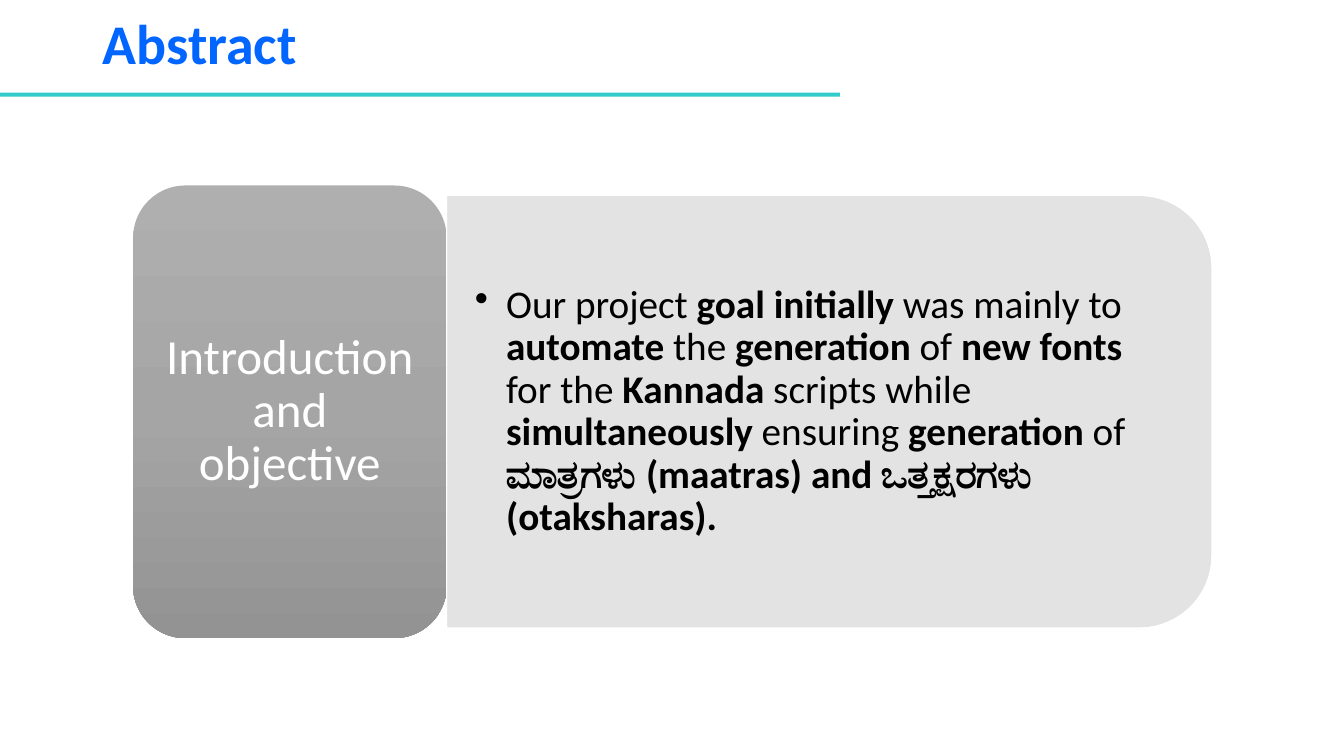
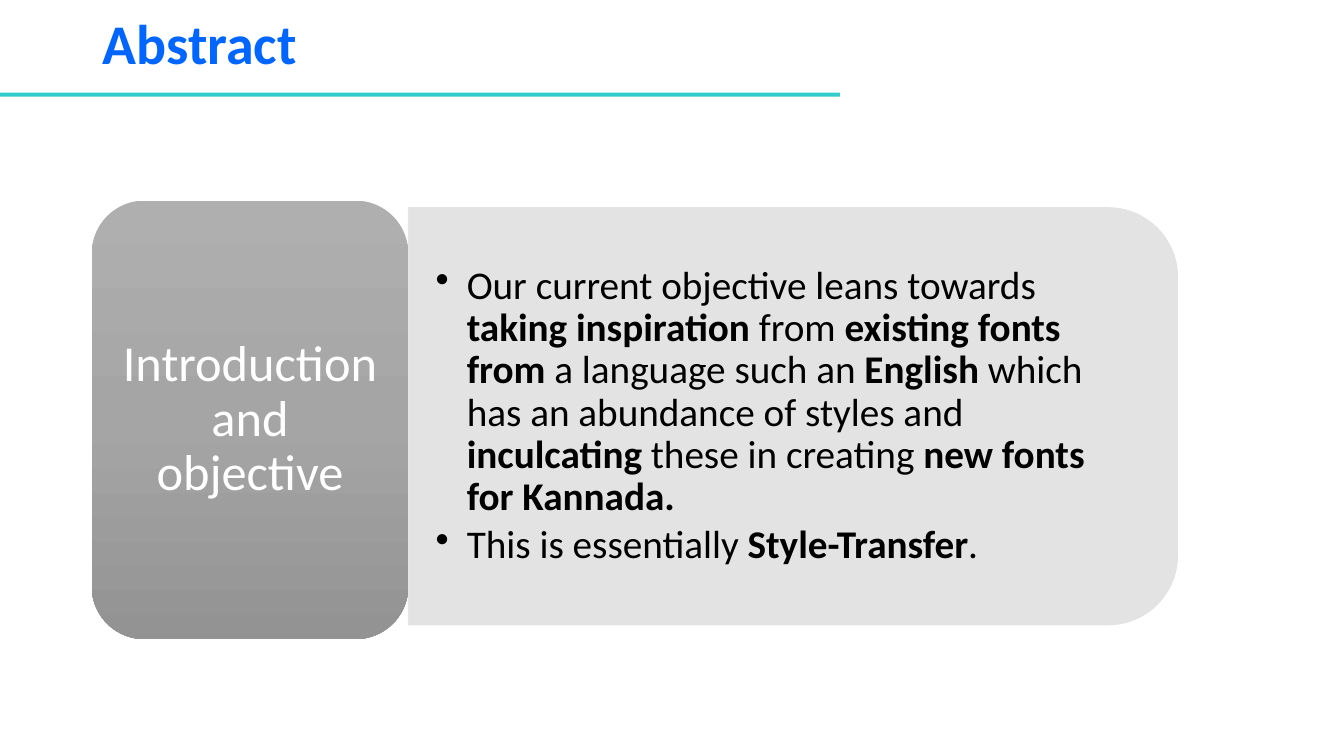
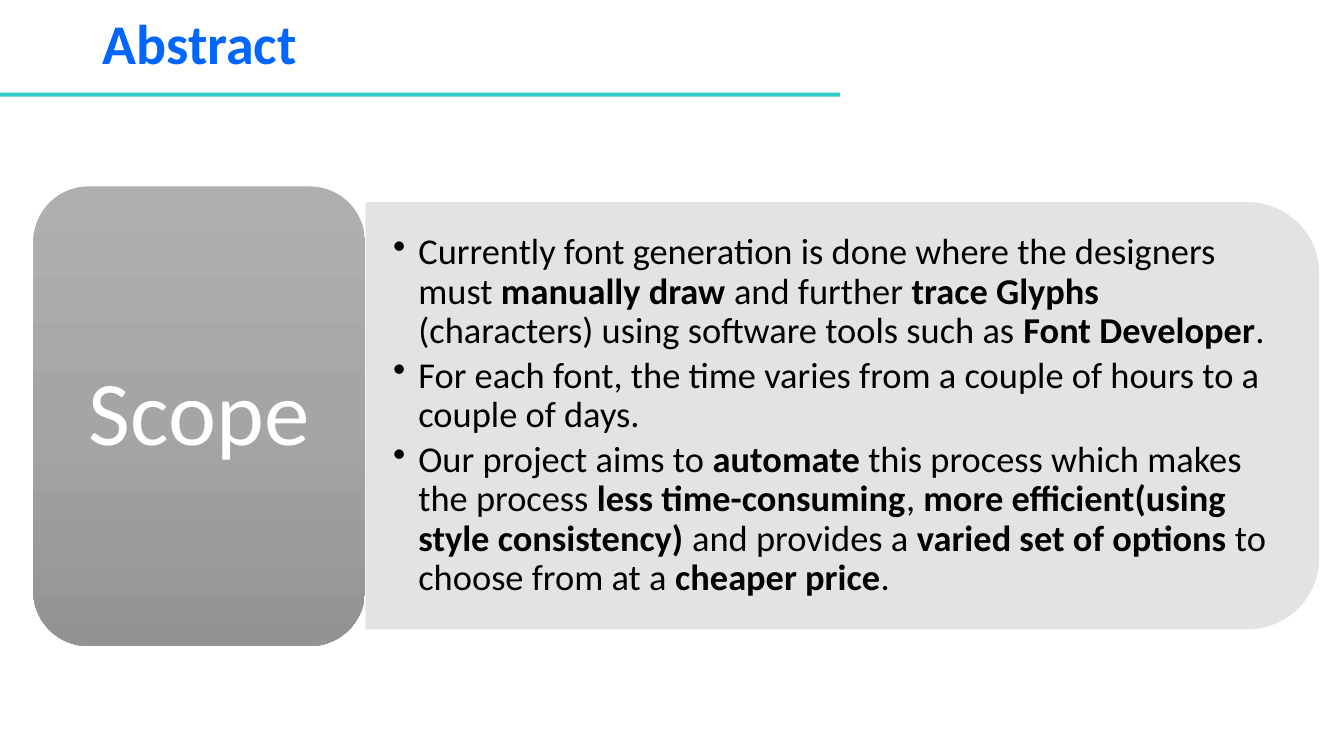
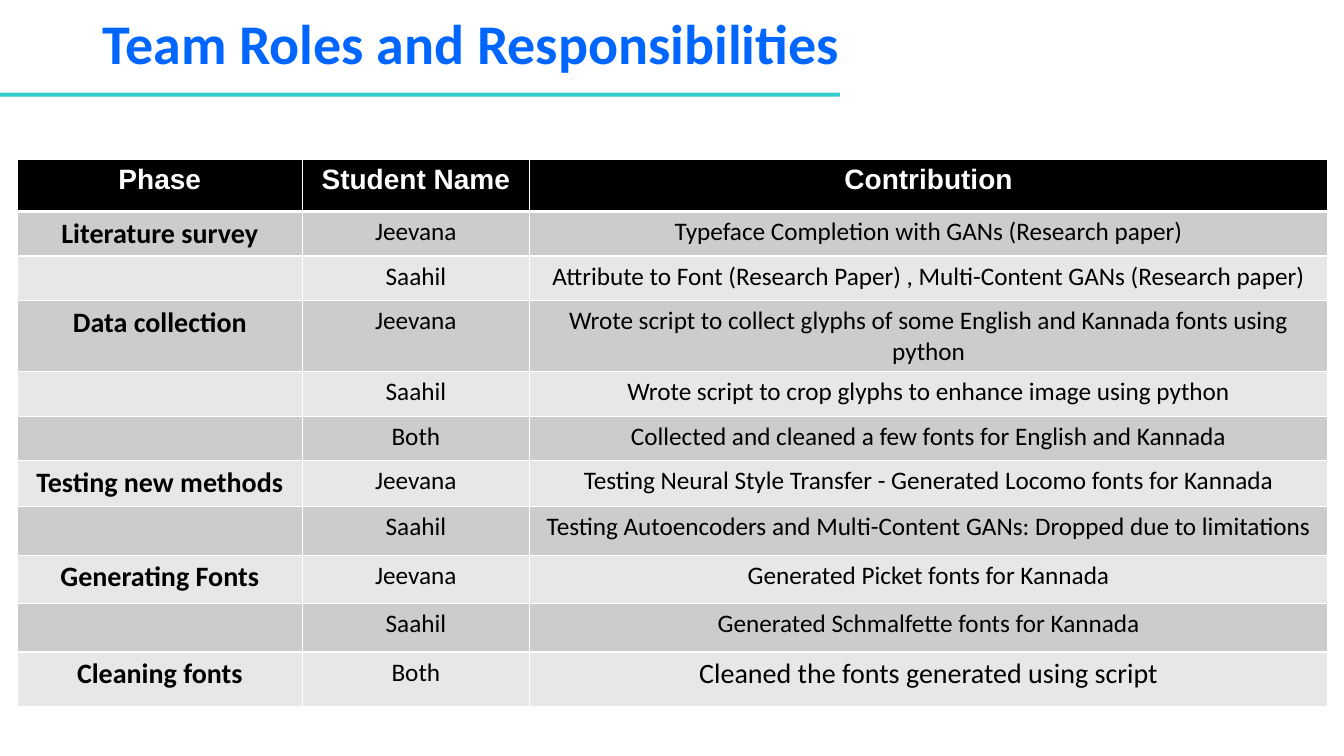
from copy import deepcopy

from pptx import Presentation
from pptx.dml.color import RGBColor
from pptx.enum import shapes, text
from pptx.oxml import parse_xml
from pptx.oxml.ns import nsdecls
from pptx.util import Inches, Pt

BLUE, TEAL, WHITE, BLACK = "0066FF", "33CCCC", "FFFFFF", "000000"
PANEL, DARK_ROW, LIGHT_ROW = "E1E1E1", "CCCCCC", "E7E7E7"
TAG_GRADIENT = [(0, "AFAFAF"), (0.5, "A5A5A5"), (1, "939393")]

# The first two boxes are (left, top, width, height); ** switches bold on and off.
TOPICS = [
    dict(tag="Introduction and objective", tag_size=35, tag_margins=(0.15, 0.07),
         tag_box=(1.32, 1.84, 3.11, 4.49), panel_box=(4.44, 1.95, 7.57, 4.27),
         size=28, indent=0.31, bullets=[
             "Our project **goal initially** was mainly to **automate** the **generation** of "
             "**new fonts **for the **Kannada** scripts while **simultaneously** ensuring "
             "**generation** of **ಮಾತ್ರಗಳು (maatras) and ಒತ್ತಕ್ಷರಗಳು (otaksharas).**"]),
    dict(tag="Introduction and objective", tag_size=36, tag_margins=(0.15, 0.07),
         tag_box=(0.91, 1.99, 3.14, 4.35), panel_box=(4.05, 2.06, 7.63, 4.14),
         size=28, indent=0.31, bullets=[
             "Our current objective leans towards **taking inspiration** from **existing fonts "
             "from** a language such an **English** which has an abundance of styles and "
             "**inculcating** these in creating **new fonts for Kannada.**",
             "This is essentially **Style-Transfer**."]),
    dict(tag="Scope", tag_size=65, tag_margins=(0.27, 0.14),
         tag_box=(0.33, 1.85, 3.29, 4.56), panel_box=(3.63, 2.01, 9.45, 4.23),
         size=26, indent=0.25, bullets=[
             "Currently font generation is done where the designers must **manually draw** and "
             "further **trace Glyphs **(characters) using software tools such as "
             "**Font Developer**.",
             "For each font, the time varies from a couple of hours to a couple of days.",
             "Our project aims to **automate** this process which makes the process **less "
             "time-consuming**, **more efficient(using style consistency)** and provides a "
             "**varied set of options **to choose from at a **cheaper price**."]),
]

ROLES = [
    ("Phase", "Student Name", "Contribution"),
    ("Literature survey", "Jeevana", "Typeface Completion with GANs (Research paper)"),
    ("", "Saahil", "Attribute to Font (Research Paper) , Multi-Content GANs (Research paper)"),
    ("Data collection", "Jeevana",
     "Wrote script to collect glyphs of some English and Kannada fonts using python"),
    ("", "Saahil", "Wrote script to crop glyphs to enhance image using python"),
    ("", "Both", "Collected and cleaned a few fonts for English and Kannada"),
    ("Testing new methods", "Jeevana",
     "Testing Neural Style Transfer - Generated Locomo fonts for Kannada"),
    ("", "Saahil", "Testing Autoencoders and Multi-Content GANs: Dropped due to limitations"),
    ("Generating Fonts", "Jeevana", "Generated Picket fonts for Kannada"),
    ("", "Saahil", "Generated Schmalfette fonts for Kannada"),
    ("Cleaning fonts", "Both", "Cleaned the fonts generated using script"),
]
COLUMN_WIDTHS = [2.83, 2.25, 7.92]
ROW_HEIGHTS = [0.52, 0.44, 0.44, 0.71, 0.44, 0.44, 0.46, 0.48, 0.48, 0.48, 0.54]


def rgb(value):
    return RGBColor.from_string(value)


def style(font, size, color, bold=False, name="Calibri"):
    font.name, font.size, font.bold = name, Pt(size), bold
    font.color.rgb = rgb(color)


presentation = Presentation()
presentation.slide_width, presentation.slide_height = Inches(13.33), Inches(7.5)

# Title and teal rule on every slide
slides = []
for title in ["Abstract"] * len(TOPICS) + ["Team Roles and Responsibilities"]:
    slide = presentation.slides.add_slide(presentation.slide_layouts[6])
    slides.append(slide)
    rule = slide.shapes.add_shape(shapes.MSO_SHAPE.RECTANGLE, 0, Inches(0.92),
                                  Inches(8.33), Inches(0.04))
    rule.shadow.inherit = False
    rule.fill.solid()
    rule.fill.fore_color.rgb = rgb(TEAL)
    rule.line.fill.background()
    frame = slide.shapes.add_textbox(Inches(0.92), 0, Inches(11.5), Inches(0.92)).text_frame
    frame.word_wrap = True
    frame.vertical_anchor = text.MSO_ANCHOR.MIDDLE
    frame.text = title
    frame.paragraphs[0].line_spacing = 0.9
    style(frame.paragraphs[0].runs[0].font, 40, BLUE, True)

# Abstract slides: grey tag on the left, bulleted panel on the right
for slide, topic in zip(slides, TOPICS):
    left, top, width, height = topic["panel_box"]
    turn = (width - height) / 2  # the panel is a tall shape turned by 90 degrees
    panel = slide.shapes.add_shape(shapes.MSO_SHAPE.ROUND_2_SAME_RECTANGLE, Inches(left + turn),
                                   Inches(top - turn), Inches(height), Inches(width))
    panel.rotation = 90
    panel.shadow.inherit = False
    panel.line.width = Pt(0.5)
    for fill in (panel.fill, panel.line.fill):
        fill.solid()
        fill.fore_color.rgb = rgb(PANEL)
    for color in panel._element.spPr.xpath(".//a:srgbClr"):
        color.append(parse_xml(f'<a:alpha {nsdecls("a")} val="90000"/>'))

    corner = height * 0.05
    frame = slide.shapes.add_textbox(Inches(left), Inches(top + corner), Inches(width - corner),
                                     Inches(height - 2 * corner)).text_frame
    frame.word_wrap = True
    frame.vertical_anchor = text.MSO_ANCHOR.MIDDLE
    frame.margin_left = frame.margin_right = Inches(0.27)
    frame.margin_top = frame.margin_bottom = Inches(0.14)
    for index, bullet in enumerate(topic["bullets"]):
        paragraph = frame.add_paragraph() if index else frame.paragraphs[0]
        properties = paragraph._p.get_or_add_pPr()
        properties.set("marL", str(Inches(topic["indent"])))
        properties.set("indent", str(-Inches(topic["indent"])))
        properties.append(parse_xml(f'<a:buChar {nsdecls("a")} char="•"/>'))
        paragraph.line_spacing = 0.9
        if index:
            paragraph.space_before = Pt(4)
        for part, words in enumerate(bullet.split("**")):
            if words:
                run = paragraph.add_run()
                run.text = words
                style(run.font, topic["size"], BLACK, part % 2 == 1)

    tag = slide.shapes.add_shape(shapes.MSO_SHAPE.ROUNDED_RECTANGLE,
                                 *[Inches(length) for length in topic["tag_box"]])
    tag.shadow.inherit = False
    tag.line.fill.background()
    tag.fill.gradient()
    tag.fill.gradient_angle = 270
    stop_list = tag._element.spPr.xpath(".//a:gsLst")[0]
    stop_list.insert(1, deepcopy(stop_list[0]))
    for stop, (position, color) in zip(tag.fill.gradient_stops, TAG_GRADIENT):
        stop.position = position
        stop.color.rgb = rgb(color)
    frame = tag.text_frame
    frame.word_wrap = True
    frame.vertical_anchor = text.MSO_ANCHOR.MIDDLE
    side, edge = topic["tag_margins"]
    frame.margin_left = frame.margin_right = Inches(side)
    frame.margin_top = frame.margin_bottom = Inches(edge)
    frame.text = topic["tag"]
    frame.paragraphs[0].alignment = text.PP_ALIGN.CENTER
    frame.paragraphs[0].line_spacing = 0.9
    style(frame.paragraphs[0].runs[0].font, topic["tag_size"], WHITE)

# Roles table
table = slides[-1].shapes.add_table(len(ROLES), len(COLUMN_WIDTHS), Inches(0.17), Inches(1.58),
                                    Inches(sum(COLUMN_WIDTHS)), Inches(sum(ROW_HEIGHTS))).table
for column, width in zip(table.columns, COLUMN_WIDTHS):
    column.width = Inches(width)
for row, height in zip(table.rows, ROW_HEIGHTS):
    row.height = Inches(height)
for row_index, entries in enumerate(ROLES):
    header = row_index == 0
    last = row_index == len(ROLES) - 1
    for column_index, entry in enumerate(entries):
        cell = table.cell(row_index, column_index)
        for side in "LRTB":
            thick = (header and side == "B") or (row_index == 1 and side == "T")
            cell._tc.get_or_add_tcPr().append(parse_xml(
                f'<a:ln{side} {nsdecls("a")} w="{Pt(3 if thick else 1)}"><a:solidFill>'
                f'<a:srgbClr val="{WHITE}"/></a:solidFill></a:ln{side}>'))
        cell.fill.solid()
        cell.fill.fore_color.rgb = rgb(
            BLACK if header else DARK_ROW if row_index % 2 else LIGHT_ROW)
        cell.text = entry
        paragraph = cell.text_frame.paragraphs[0]
        paragraph.alignment = text.PP_ALIGN.CENTER
        large = header or column_index == 0 or (last and column_index == 2)
        style(paragraph.runs[0].font if entry else paragraph.font, 20 if large else 18,
              WHITE if header else BLACK, header or column_index == 0,
              "Arial" if header else "Calibri")

presentation.save("out.pptx")
